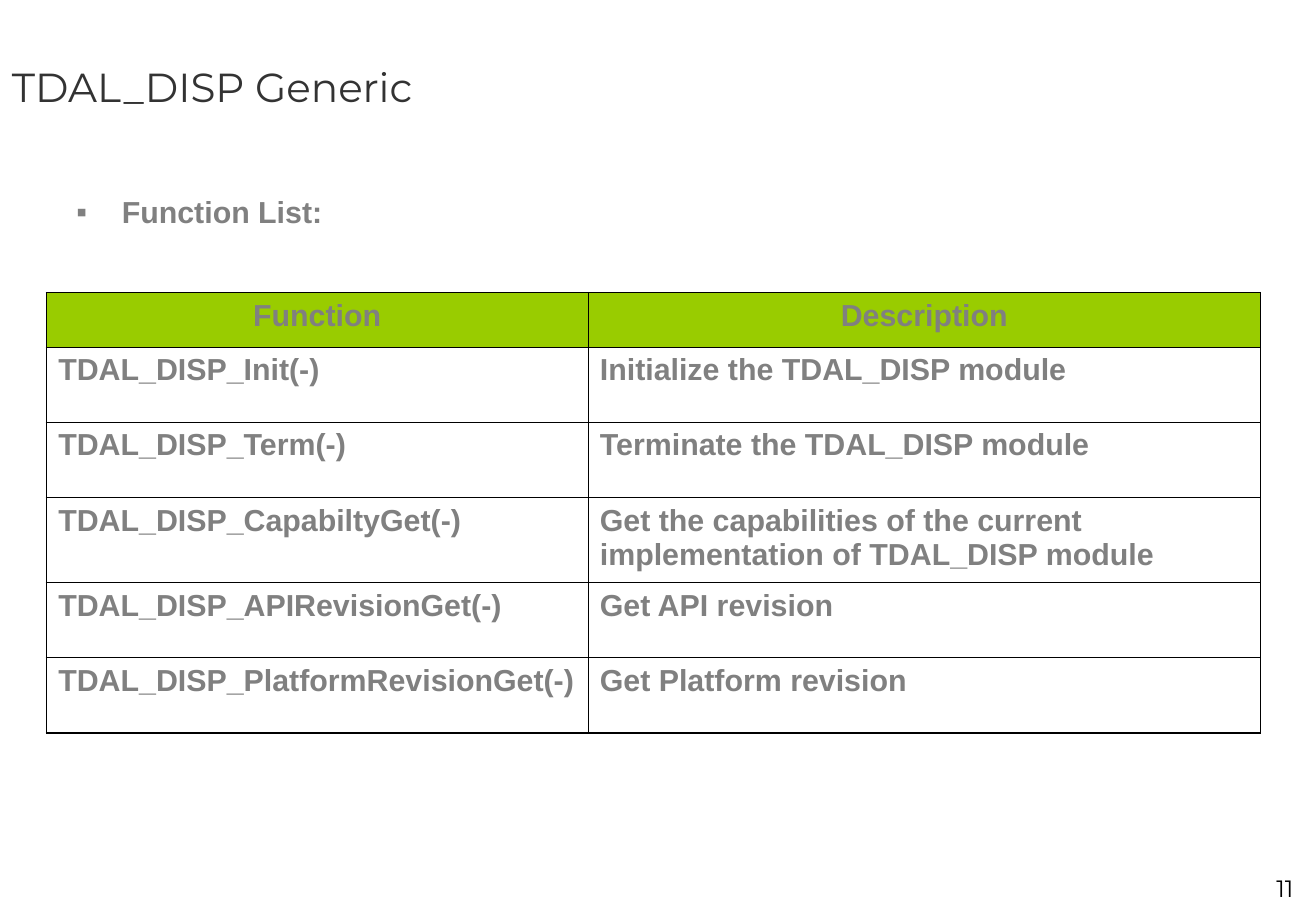
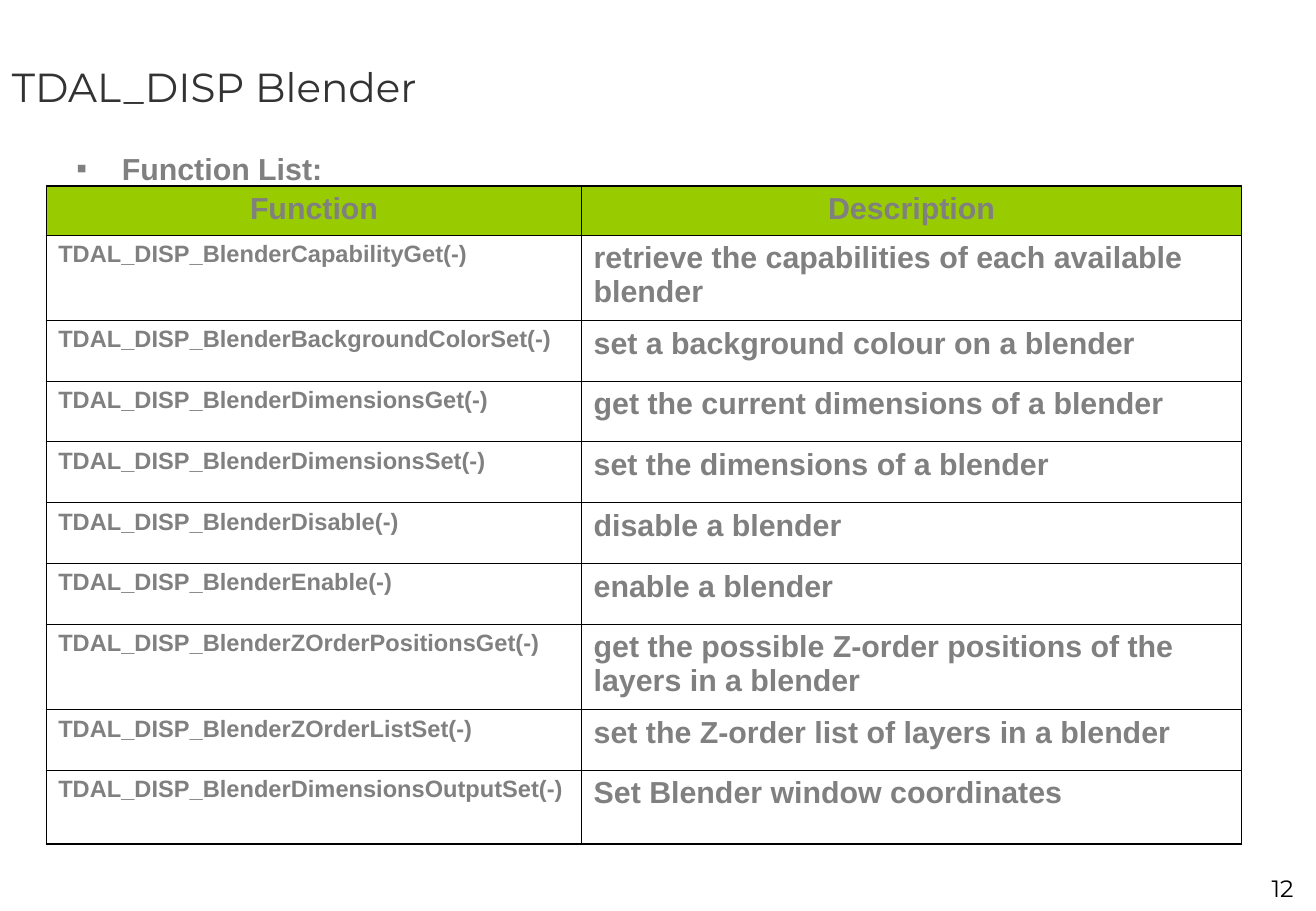
from collections import namedtuple

from lxml import etree
from pptx import Presentation
from pptx.dml.color import RGBColor
from pptx.enum import text
from pptx.oxml import ns
from pptx.util import Cm, Pt

Box = namedtuple("Box", "left top width height")

SLIDE_WIDTH, SLIDE_HEIGHT = 27.53, 19.05
TITLE_BOX = Box(0, 0, 27.5, 3.6)
NUMBER_BOX = Box(24.36, 18.14, 2.95, 0.84)
LIST_LEFT, LIST_WIDTH, LIST_HEIGHT = 1.35, 25.17, 1
BULLET_INDENT = 0.95
TABLE_LEFT = 0.97
INSET_X, INSET_Y = 0.25, 0.13

TITLE_FONT, BODY_FONT = "Montserrat", "Arial"
TITLE_COLOUR, BODY_COLOUR, BLACK = "333333", "808080", "000000"
HEADER_FILL = "99CC00"
OUTER_LINE, INNER_LINE = 1.08, 0.45

HEADINGS = ("Function", "Description")
GENERIC_FUNCTIONS = [
    ("TDAL_DISP_Init(-)", "Initialize the TDAL_DISP module"),
    ("TDAL_DISP_Term(-)", "Terminate the TDAL_DISP module"),
    ("TDAL_DISP_CapabiltyGet(-)",
     "Get the capabilities of the current implementation of TDAL_DISP module"),
    ("TDAL_DISP_APIRevisionGet(-)", "Get API revision"),
    ("TDAL_DISP_PlatformRevisionGet(-)", "Get Platform revision"),
]
BLENDER_FUNCTIONS = [
    ("TDAL_DISP_BlenderCapabilityGet(-)",
     "retrieve the capabilities of each available blender"),
    ("TDAL_DISP_BlenderBackgroundColorSet(-)", "set a background colour on a blender"),
    ("TDAL_DISP_BlenderDimensionsGet(-)", "get the current dimensions of a blender"),
    ("TDAL_DISP_BlenderDimensionsSet(-)", "set the dimensions of a blender"),
    ("TDAL_DISP_BlenderDisable(-)", "disable a blender"),
    ("TDAL_DISP_BlenderEnable(-)", "enable a blender"),
    ("TDAL_DISP_BlenderZOrderPositionsGet(-)",
     "get the possible Z-order positions of the layers in a blender"),
    ("TDAL_DISP_BlenderZOrderListSet(-)", "set the Z-order list of layers in a blender"),
    ("TDAL_DISP_BlenderDimensionsOutputSet(-)", "Set Blender window coordinates"),
]


def colour(hex_string):
    return RGBColor.from_string(hex_string)


def lengths(box):
    return [Cm(value) for value in box]


def add_element(parent, tag, **attributes):
    element = etree.SubElement(parent, ns.qn(tag))
    for name, value in attributes.items():
        element.set(name, str(value))
    return element


def set_insets(target):
    """Give a text frame or a table cell the common margins."""
    target.margin_left = target.margin_right = Cm(INSET_X)
    target.margin_top = target.margin_bottom = Cm(INSET_Y)


def add_run(paragraph, words, size, font_name, hex_string, bold=False):
    run = paragraph.add_run()
    run.text = words
    run.font.size = Pt(size)
    run.font.name = font_name
    run.font.bold = bold
    run.font.color.rgb = colour(hex_string)


def add_text_box(slide, box, anchor=text.MSO_ANCHOR.TOP):
    """Add an empty text box and return its first paragraph."""
    frame = slide.shapes.add_textbox(*lengths(box)).text_frame
    frame.word_wrap = True
    frame.vertical_anchor = anchor
    set_insets(frame)
    return frame.paragraphs[0]


def add_title(slide, box, words):
    paragraph = add_text_box(slide, box, text.MSO_ANCHOR.MIDDLE)
    add_run(paragraph, words, 24, TITLE_FONT, TITLE_COLOUR)


def add_page_number(slide, box, number):
    paragraph = add_text_box(slide, box)
    paragraph.alignment = text.PP_ALIGN.RIGHT
    add_run(paragraph, str(number), 14, TITLE_FONT, BLACK)


def add_bullet(slide, box, words):
    paragraph = add_text_box(slide, box)
    properties = paragraph._p.get_or_add_pPr()
    properties.set("marL", str(Cm(BULLET_INDENT)))
    properties.set("indent", str(-Cm(BULLET_INDENT)))
    bullet_colour = add_element(properties, "a:buClr")
    add_element(bullet_colour, "a:srgbClr", val=BODY_COLOUR)
    add_element(properties, "a:buFont", typeface=BODY_FONT)
    add_element(properties, "a:buChar", char="▪")
    add_run(paragraph, words, 18, BODY_FONT, BODY_COLOUR, bold=True)


def set_borders(cell, outer_sides):
    """Draw all four borders, heavier on the sides that edge the table."""
    properties = cell._tc.get_or_add_tcPr()
    for side in "LRTB":
        width = OUTER_LINE if side in outer_sides else INNER_LINE
        line = add_element(properties, f"a:ln{side}", w=Pt(width))
        fill = add_element(line, "a:solidFill")
        add_element(fill, "a:srgbClr", val=BLACK)


def fill_cell(cell, words, size, is_header, outer_sides):
    set_insets(cell)
    set_borders(cell, outer_sides)
    paragraph = cell.text_frame.paragraphs[0]
    if is_header:
        cell.fill.solid()
        cell.fill.fore_color.rgb = colour(HEADER_FILL)
        paragraph.alignment = text.PP_ALIGN.CENTER
    else:
        cell.fill.background()
    add_run(paragraph, words, size, BODY_FONT, BODY_COLOUR, bold=True)


def add_function_table(slide, left, top, column_widths, row_heights, functions, name_size):
    rows = [HEADINGS, *functions]
    box = Box(left, top, sum(column_widths), sum(row_heights))
    table = slide.shapes.add_table(len(rows), len(HEADINGS), *lengths(box)).table
    table.horz_banding = False
    for column, width in zip(table.columns, column_widths):
        column.width = Cm(width)
    for row_index, (row, height) in enumerate(zip(rows, row_heights)):
        table.rows[row_index].height = Cm(height)
        is_header = row_index == 0
        vertical = "T" if is_header else "B" if row_index == len(rows) - 1 else ""
        sizes = (18 if is_header else name_size, 18)
        for column_index, (words, size) in enumerate(zip(row, sizes)):
            fill_cell(table.cell(row_index, column_index), words, size, is_header,
                      "LR"[column_index] + vertical)


def add_function_slide(presentation, number, title, list_top, table_top,
                       column_widths, row_heights, functions, name_size):
    slide = presentation.slides.add_slide(presentation.slide_layouts[6])
    add_title(slide, TITLE_BOX, title)
    add_bullet(slide, Box(LIST_LEFT, list_top, LIST_WIDTH, LIST_HEIGHT), "Function List:")
    add_function_table(slide, TABLE_LEFT, table_top, column_widths, row_heights,
                       functions, name_size)
    add_page_number(slide, NUMBER_BOX, number)


def main():
    presentation = Presentation()
    presentation.slide_width = Cm(SLIDE_WIDTH)
    presentation.slide_height = Cm(SLIDE_HEIGHT)
    add_function_slide(
        presentation, 11, "TDAL_DISP Generic", list_top=3.92, table_top=6.12,
        column_widths=(11.33, 14.07), row_heights=[1.14, 1.57, 1.57, 1.78, 1.57, 1.57],
        functions=GENERIC_FUNCTIONS, name_size=18)
    add_function_slide(
        presentation, 12, "TDAL_DISP Blender", list_top=3, table_top=3.89,
        column_widths=(11.2, 13.8),
        row_heights=[1.02, 1.78, *[1.27] * 5, 1.78, 1.27, 1.55],
        functions=BLENDER_FUNCTIONS, name_size=14)
    presentation.save("out.pptx")


if __name__ == "__main__":
    main()
